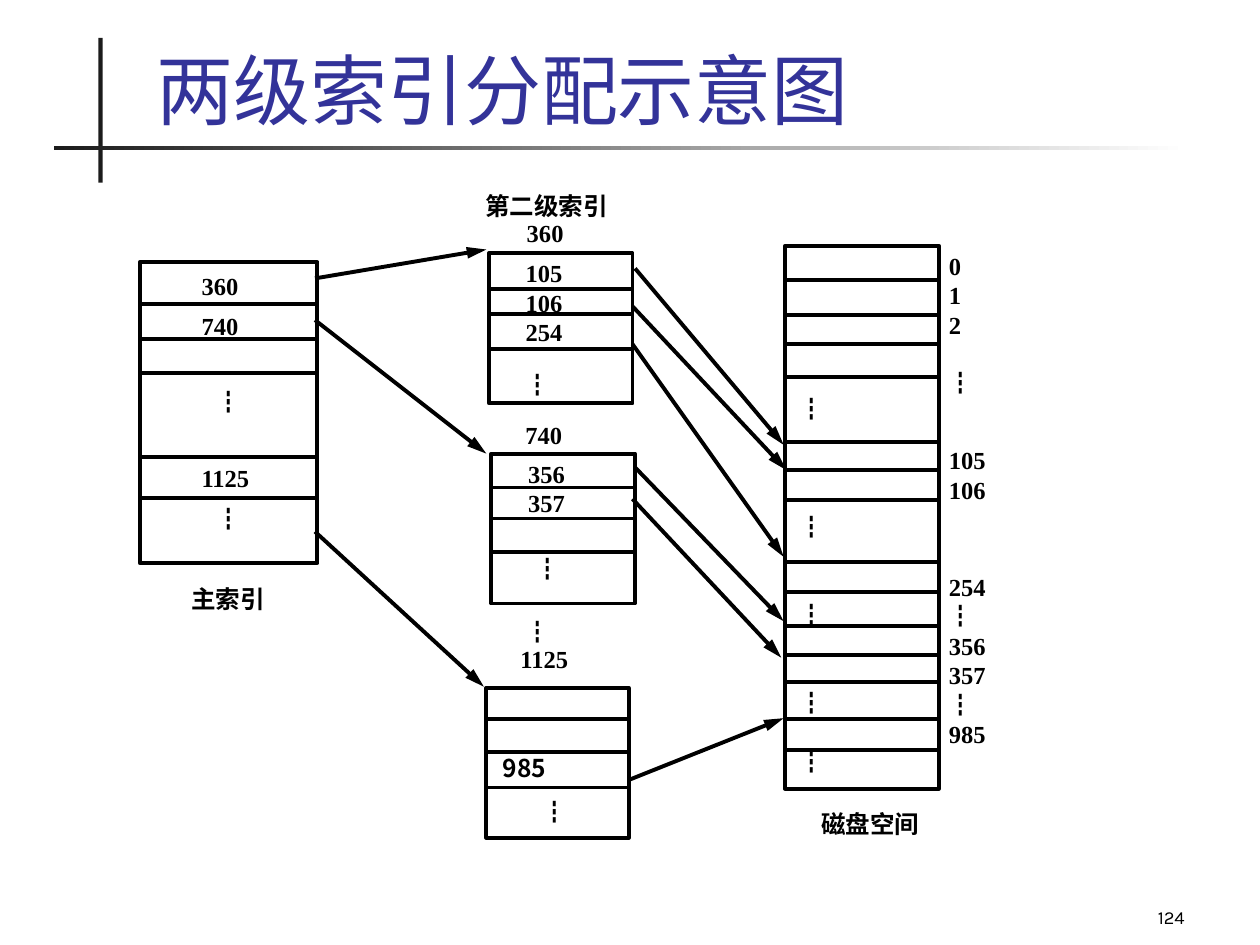
from pptx import Presentation
from pptx.dml.color import RGBColor
from pptx.enum.shapes import MSO_CONNECTOR as Connector, MSO_SHAPE as Shape
from pptx.enum.text import MSO_ANCHOR as Anchor, PP_ALIGN as Align
from pptx.oxml.ns import qn
from pptx.util import Pt
from lxml.etree import SubElement

BLACK = RGBColor(0, 0, 0)
WHITE = RGBColor(255, 255, 255)
CHARCOAL = RGBColor(0x1C, 0x1C, 0x1C)
INDIGO = RGBColor(0x33, 0x33, 0x99)
SERIF, CJK = "Times New Roman", "Noto Sans CJK SC"
DOTS = "┇"
LINE = 16.8


def write(shape, lines, font=SERIF, size=14, color=BLACK, bold=True, align=Align.LEFT,
          anchor=Anchor.TOP, insets=(0, 0, 0, 0), pitch=LINE):
    """Fill a shape with (text, lines skipped before it) pairs; insets are left, top, right, bottom."""
    frame = shape.text_frame
    frame.word_wrap = True
    frame.vertical_anchor = anchor
    frame.margin_left, frame.margin_top, frame.margin_right, frame.margin_bottom = map(Pt, insets)
    for number, (text, skipped) in enumerate(lines):
        para = frame.add_paragraph() if number else frame.paragraphs[0]
        para.alignment = align
        if pitch:
            para.line_spacing = Pt(pitch)
        if skipped:
            para.space_before = Pt(round(skipped * LINE, 1))
        span = para.add_run()
        span.text = text
        span.font.size, span.font.bold = Pt(size), bold
        span.font.color.rgb = color
        span.font.name = CJK if text == DOTS else font
        SubElement(span.font._element, qn("a:ea"), typeface=CJK)


def draw_line(x1, y1, x2, y2, arrow=False):
    line = page.shapes.add_connector(Connector.STRAIGHT, Pt(x1), Pt(y1), Pt(x2), Pt(y2))
    line.line.color.rgb = BLACK
    line.line.width = Pt(2.25)
    if arrow:
        SubElement(line.line._get_or_add_ln(), qn("a:tailEnd"), type="triangle", w="med", len="lg")
    SubElement(line._element.spPr, qn("a:effectLst"))


deck = Presentation()
deck.slide_width, deck.slide_height = Pt(720), Pt(540)
page = deck.slides.add_slide(deck.slide_layouts[6])

# Title and its crossed rules
for left, top, width, height in [(56.2, 21.6, 2.4, 82.8), (31, 83.5, 648, 2.2)]:
    rule = page.shapes.add_shape(Shape.RECTANGLE, Pt(left), Pt(top), Pt(width), Pt(height))
    rule.shadow.inherit = False
    rule.line.fill.background()
    if width < height:
        rule.fill.solid()
        rule.fill.fore_color.rgb = CHARCOAL
    else:
        rule.fill.gradient()
        rule.fill.gradient_angle = 0
        for stop, color, position in zip(rule.fill.gradient_stops, (CHARCOAL, WHITE), (0, 1)):
            stop.color.rgb = color
            stop.position = position

title = page.shapes.add_textbox(Pt(82.1), Pt(18), Pt(618.5), Pt(59))
write(title, [("两级索引分配示意图", 0)], font="TeX Gyre Schola", size=44, color=INDIGO, bold=False,
      anchor=Anchor.BOTTOM, insets=(7.2, 3.6, 7.2, 0), pitch=None)

# Index tables and disk: frame, row lines, text, text format
blocks = [
    ((448.6, 140.4, 87.8, 310.3),
     [159.8, 180, 196.6, 215.3, 252.7, 268.6, 285.8, 321.1, 338.4, 357.8, 374.4, 389.5, 411.1, 428.4],
     [(DOTS, 0), (DOTS, 3), (DOTS, 2), (DOTS, 2), (DOTS, 1)],
     dict(insets=(8.4, 5 * LINE + 1, 0, 0), bold=False)),
    ((79.9, 149.8, 101.5, 172), [173.5, 193.7, 213.1, 261.4, 284.4],
     [(DOTS, 0), (DOTS, 3)], dict(insets=(0, 4 * LINE + 3.9, 0, 0), align=Align.CENTER)),
    ((279.4, 144.7, 82.1, 85.7), [164.9, 179.6, 199.4],
     [("105", 0), ("106", 0), ("254", 0)], dict(insets=(21, 2.9, 0, 0))),
    ((280.8, 259.2, 82.1, 85.7), [278.6, 296.3, 315.4],
     [("356", 0), ("357", 0)], dict(insets=(21, 2.9, 0, 0))),
    ((277.9, 393.1, 81.4, 85.7), [411.1, 429.8, 450],
     [("985", 0)], dict(insets=(9.5, 2 * LINE + 3.4, 0, 0), font=CJK)),
]
for (left, top, width, height), rows, lines, look in blocks:
    block = page.shapes.add_shape(Shape.RECTANGLE, Pt(left), Pt(top), Pt(width), Pt(height))
    block.shadow.inherit = False
    block.fill.solid()
    block.fill.fore_color.rgb = WHITE
    block.line.color.rgb = BLACK
    block.line.width = Pt(2.25)
    write(block, lines, **look)
    for y in rows:
        draw_line(left, y, left + width, y)

# Arrows: main index to second level, second level to disk
for ends in [
    (180, 159.1, 277.9, 142.6), (180, 182.9, 277.9, 259.2), (180, 303.8, 276.5, 392.4),
    (362.9, 153.4, 447.8, 254.2), (361.4, 175, 449.3, 268.6), (361.4, 196.6, 447.8, 318.2),
    (362.9, 267.1, 447.8, 355), (361.4, 285.1, 446.4, 375.8), (359.3, 445.7, 447.8, 410.4),
]:
    draw_line(*ends, arrow=True)

# Free labels: left, top, width, height, lines
labels = [
    (277.2, 109, 89.3, 20.9, [("第二级索引", 0)]),
    (469.4, 462.5, 72, 18.7, [("磁盘空间", 0)]),
    (109.4, 333.6, 56.2, 21.6, [("主索引", 0)]),
    (301, 124.6, 38.2, 19.4, [("360", 0)]),
    (300.2, 239.8, 41, 19.4, [("740", 0)]),
    (300.4, 352.4, 20, 17.3, [(DOTS, 0)]),
    (297.4, 368.2, 51.8, 18.4, [("1125", 0)]),
    (115.2, 154.8, 38.2, 19.4, [("360", 0)]),
    (115.2, 177.5, 38.2, 19.4, [("740", 0)]),
    (115.2, 264.6, 38.2, 19.4, [("1125", 0)]),
    (300.2, 211.2, 38.2, 17.3, [(DOTS, 0)]),
    (306, 316.4, 38.2, 17.3, [(DOTS, 0)]),
    (310.3, 455.3, 38.2, 17.3, [(DOTS, 0)]),
    (542.2, 143.3, 33.8, 288.7,
     [("0", 0), ("1", 0), ("2", 0), (DOTS, 1), ("105", 1.62), ("106", 0), ("254", 2.3),
      (DOTS, 0), ("356", 0), ("357", 0), (DOTS, 0), ("985", 0)]),
]
for left, top, width, height, lines in labels:
    write(page.shapes.add_textbox(Pt(left), Pt(top), Pt(width), Pt(height)), lines)

page_number = page.shapes.add_textbox(Pt(534.2), Pt(498.2), Pt(149.8), Pt(36))
write(page_number, [("124", 0)], font="Karla", size=10.5, bold=False, align=Align.RIGHT,
      anchor=Anchor.BOTTOM, insets=(7.2, 3.6, 7.2, 3.6), pitch=None)

deck.save("out.pptx")
